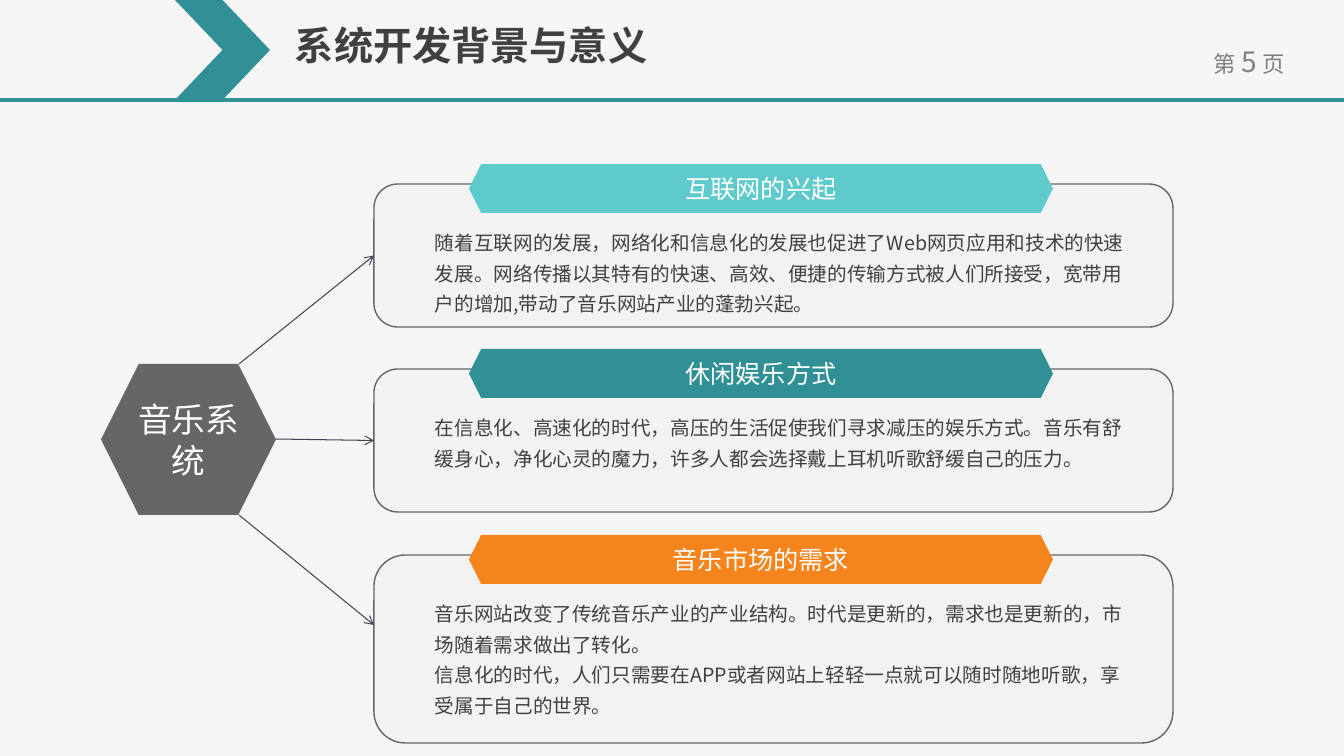
"""Build the slide on the background and significance of the music system."""
import pptx
import pptx.dml.color
import pptx.enum.shapes
import pptx.enum.text
import pptx.oxml
import pptx.oxml.ns
import pptx.util

RGB = pptx.dml.color.RGBColor
SHAPE = pptx.enum.shapes.MSO_SHAPE
ALIGN = pptx.enum.text.PP_ALIGN
ANCHOR = pptx.enum.text.MSO_ANCHOR

PAPER = RGB(0xF5, 0xF5, 0xF5)
CARD = RGB(0xF2, 0xF2, 0xF2)
GREY = RGB(0x66, 0x66, 0x66)
PAGE_GREY = RGB(0x80, 0x80, 0x80)
INK = RGB(0x40, 0x40, 0x40)
ARROW = RGB(0x41, 0x44, 0x55)
WHITE = RGB(0xFF, 0xFF, 0xFF)
AQUA = RGB(0x5F, 0xCA, 0xCB)
TEAL = RGB(0x31, 0x90, 0x95)
ORANGE = RGB(0xF5, 0x84, 0x1C)
FONT = "Noto Sans CJK SC"

TITLE = "系统开发背景与意义"
PAGE_LABEL = [("第", 16), (" ", 18), ("5", 20), (" ", 18), ("页", 16)]
HUB_TEXT = "音乐系统"
CARDS = [
    ("互联网的兴起", AQUA, 184, 143, [
        "随着互联网的发展，网络化和信息化的发展也促进了Web网页应用和技术的快速发展。"
        "网络传播以其特有的快速、高效、便捷的传输方式被人们所接受，"
        "宽带用户的增加,带动了音乐网站产业的蓬勃兴起。"]),
    ("休闲娱乐方式", TEAL, 369, 143, [
        "在信息化、高速化的时代，高压的生活促使我们寻求减压的娱乐方式。"
        "音乐有舒缓身心，净化心灵的魔力，许多人都会选择戴上耳机听歌舒缓自己的压力。"]),
    ("音乐市场的需求", ORANGE, 555, 188, [
        "音乐网站改变了传统音乐产业的产业结构。时代是更新的，需求也是更新的，"
        "市场随着需求做出了转化。",
        "信息化的时代，人们只需要在APP或者网站上轻轻一点就可以随时随地听歌，"
        "享受属于自己的世界。"]),
]

PAGE_WIDTH, PAGE_HEIGHT = 1344, 756
HEADER_HEIGHT = 100
CARD_LEFT, CARD_WIDTH = 374, 799
BANNER_LEFT, BANNER_WIDTH, BANNER_HEIGHT, BANNER_RISE = 469, 584, 49, 20
BODY_LEFT, BODY_WIDTH, BODY_DROP = 425, 717, 35
HUB_LEFT, HUB_TOP, HUB_WIDTH, HUB_HEIGHT = 101, 364, 175, 151
LAST_ARROW_END = 625


def px(length):
    return round(length * 914400 / 100.8)


def style_font(paragraph, size, color, bold=False):
    font = paragraph.font
    font.name, font.size, font.bold = FONT, pptx.util.Pt(size), bold
    font.color.rgb = color
    east_asian = pptx.oxml.parse_xml(
        f'<a:ea {pptx.oxml.ns.nsdecls("a")} typeface="{FONT}"/>')
    paragraph._p.pPr.find(pptx.oxml.ns.qn("a:defRPr")).append(east_asian)
    for span in paragraph.runs:
        span.font.language_id = pptx.enum.lang.MSO_LANGUAGE_ID.SIMPLIFIED_CHINESE


def add_panel(page, kind, frame, fill, text="", size=18, outline=None):
    panel = page.shapes.add_shape(kind, *map(px, frame))
    panel.shadow.inherit = False
    panel.fill.solid()
    panel.fill.fore_color.rgb = fill
    if outline is None:
        panel.line.fill.background()
    else:
        panel.line.color.rgb = outline
        panel.line.width = pptx.util.Pt(1)
    if text:
        panel.text_frame.word_wrap = True
        panel.text_frame.vertical_anchor = ANCHOR.MIDDLE
        para = panel.text_frame.paragraphs[0]
        para.text, para.alignment = text, ALIGN.CENTER
        style_font(para, size, WHITE)
    return panel


def add_text(page, frame, paragraphs, size, color, bold=False,
             spacing=None, align=ALIGN.LEFT, wrap=True, flush=False):
    box = page.shapes.add_textbox(*map(px, frame))
    text_frame = box.text_frame
    text_frame.word_wrap = wrap
    text_frame.auto_size = pptx.enum.text.MSO_AUTO_SIZE.SHAPE_TO_FIT_TEXT
    if flush:
        text_frame.margin_top = text_frame.margin_bottom = 0
    for index, spans in enumerate(paragraphs):
        para = text_frame.add_paragraph() if index else text_frame.paragraphs[0]
        for words, span_size in spans:
            span = para.add_run()
            span.text = words
            if span_size != size:
                span.font.size = pptx.util.Pt(span_size)
        para.alignment = align
        if spacing:
            para.line_spacing = spacing
        style_font(para, size, color, bold)


def add_line(page, start, end, color, width, arrow=False):
    line = page.shapes.add_connector(
        pptx.enum.shapes.MSO_CONNECTOR.STRAIGHT, *map(px, start + end))
    line.line.color.rgb = color
    line.line.width = pptx.util.Pt(width)
    namespace = pptx.oxml.ns.nsdecls("a")
    if arrow:
        line.line._get_or_add_ln().append(
            pptx.oxml.parse_xml(f'<a:tailEnd {namespace} type="arrow"/>'))
    line._element.spPr.append(pptx.oxml.parse_xml(f"<a:effectLst {namespace}/>"))
    return line


def add_header(page):
    add_line(page, (0, HEADER_HEIGHT), (PAGE_WIDTH, HEADER_HEIGHT), TEAL, 2.25)
    add_panel(page, SHAPE.CHEVRON, (175, 0, 95, HEADER_HEIGHT), TEAL)
    add_text(page, (285, 21, 450, 57), [[(TITLE, 28)]], 28, INK, bold=True, flush=True)
    add_text(page, (1190, 44, 118, 44), [PAGE_LABEL], 16, PAGE_GREY,
             align=ALIGN.CENTER, wrap=False, flush=True)


def add_card(page, title, color, top, height, body):
    card = add_panel(page, SHAPE.ROUNDED_RECTANGLE,
                     (CARD_LEFT, top, CARD_WIDTH, height), CARD, outline=GREY)
    add_panel(page, SHAPE.HEXAGON,
              (BANNER_LEFT, top - BANNER_RISE, BANNER_WIDTH, BANNER_HEIGHT), color, title)
    add_text(page, (BODY_LEFT, top + BODY_DROP, BODY_WIDTH, height - BODY_DROP),
             [[(words, 14)] for words in body], 14, INK, spacing=1.3)
    return card


def main():
    deck = pptx.Presentation()
    deck.slide_width, deck.slide_height = px(PAGE_WIDTH), px(PAGE_HEIGHT)
    page = deck.slides.add_slide(deck.slide_layouts[6])
    page.background.fill.solid()
    page.background.fill.fore_color.rgb = PAPER

    add_header(page)
    cards = [add_card(page, *content) for content in CARDS]
    hub = add_panel(page, SHAPE.HEXAGON, (HUB_LEFT, HUB_TOP, HUB_WIDTH, HUB_HEIGHT),
                    GREY, HUB_TEXT, 24)

    hub_right = HUB_LEFT + HUB_WIDTH
    corner = hub_right - HUB_HEIGHT // 4
    middles = [top + height // 2 for _, _, top, height, _ in CARDS]
    arrows = [
        add_line(page, start, (CARD_LEFT, end), ARROW, 0.75, arrow=True)
        for start, end in [
            ((corner, HUB_TOP), middles[0]),
            ((hub_right, HUB_TOP + HUB_HEIGHT // 2), middles[1]),
            ((corner, HUB_TOP + HUB_HEIGHT), LAST_ARROW_END),
        ]
    ]
    for arrow, card in zip(arrows[:2], cards):
        arrow.end_connect(card, 1)
    deck.save("out.pptx")


if __name__ == "__main__":
    main()
